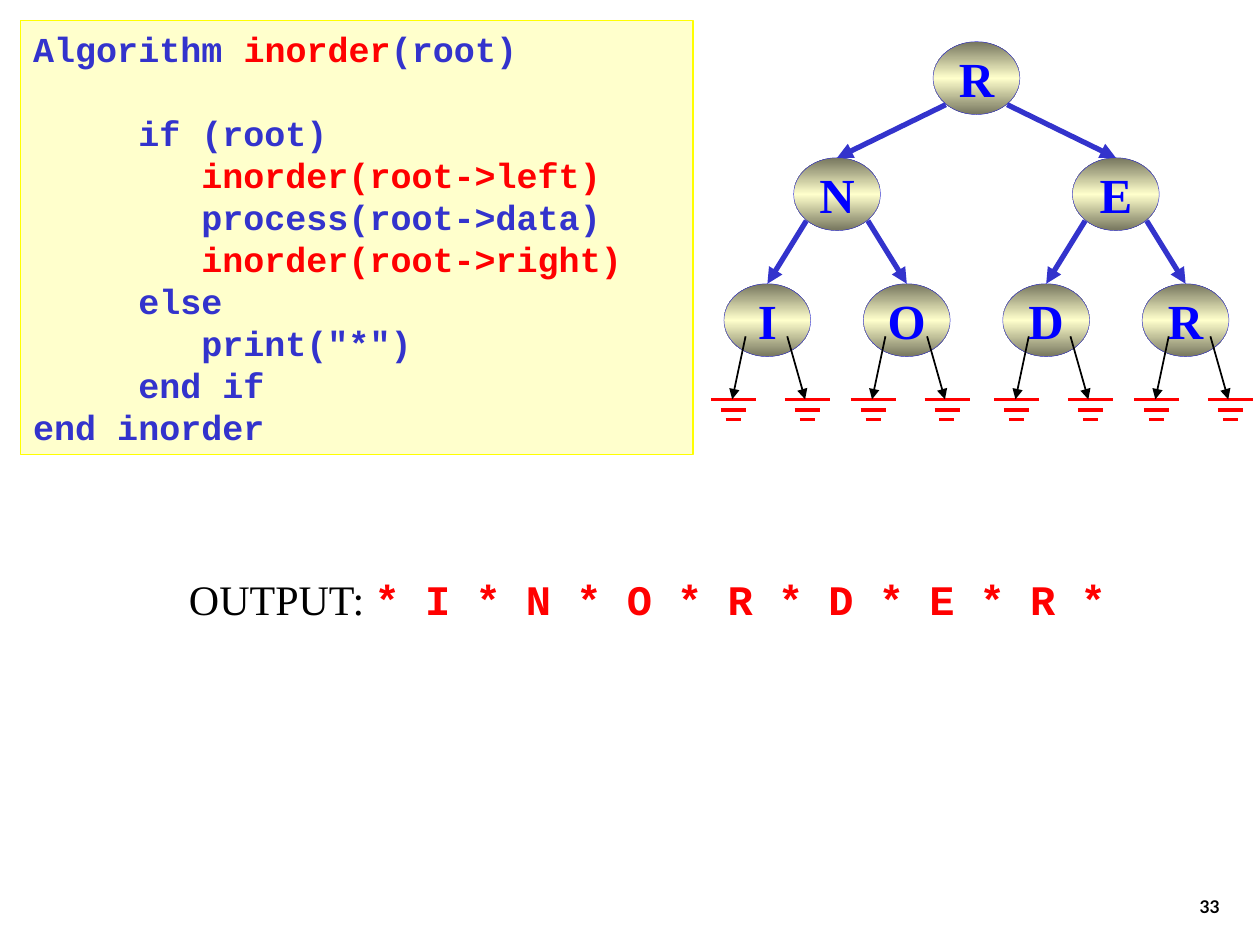
"""Build a slide showing inorder traversal of a binary tree, with its pseudocode and output."""
from copy import deepcopy
from dataclasses import dataclass

from lxml import etree
from pptx import Presentation
from pptx.dml.color import RGBColor
from pptx.enum.shapes import MSO_CONNECTOR, MSO_SHAPE
from pptx.enum.text import MSO_ANCHOR, PP_ALIGN
from pptx.oxml.ns import qn
from pptx.util import Cm, Pt

OVAL, RECTANGLE = MSO_SHAPE.OVAL, MSO_SHAPE.RECTANGLE
STRAIGHT = MSO_CONNECTOR.STRAIGHT
MIDDLE, BOTTOM = MSO_ANCHOR.MIDDLE, MSO_ANCHOR.BOTTOM
LEFT, CENTER, RIGHT = PP_ALIGN.LEFT, PP_ALIGN.CENTER, PP_ALIGN.RIGHT


@dataclass(frozen=True)
class Theme:
    black: str = "000000"
    red: str = "FF0000"
    indigo: str = "3333CC"
    blue: str = "0000FF"
    cream: str = "FFFFCC"
    olive: str = "76765E"
    yellow: str = "FFFF00"
    serif: str = "Times New Roman"
    mono: str = "Courier New"
    sans: str = "Lato"
    node_size: int = 28
    output_size: int = 24
    code_size: int = 20
    number_size: int = 10


theme = Theme()


def write_spans(para, spans, size, align=LEFT):
    para.alignment = align
    for text, font, colour, bold in spans:
        span = para.add_run()
        span.text = text
        span.font.name = font
        span.font.size = Pt(size)
        span.font.bold = bold
        span.font.color.rgb = RGBColor.from_string(colour)


def add_line(x1, y1, x2, y2, colour, width, arrow=False):
    line = page.shapes.add_connector(STRAIGHT, Cm(x1), Cm(y1), Cm(x2), Cm(y2))
    line.line.color.rgb = RGBColor.from_string(colour)
    line.line.width = Pt(width)
    if arrow:
        outline = line.element.xpath(".//a:ln")[0]
        etree.SubElement(outline, qn("a:tailEnd"), type="triangle")
    etree.SubElement(line.element.spPr, qn("a:effectLst"))


deck = Presentation()
deck.slide_width, deck.slide_height = Cm(25.4), Cm(19.05)
page = deck.slides.add_slide(deck.slide_layouts[6])

number_box = page.shapes.add_textbox(Cm(19.56), Cm(17.35), Cm(5.28), Cm(1.27))
number_box.text_frame.word_wrap = True
number_box.text_frame.vertical_anchor = BOTTOM
write_spans(number_box.text_frame.paragraphs[0],
            [("33", theme.sans, theme.black, True)], theme.number_size, RIGHT)

output_box = page.shapes.add_textbox(Cm(3.56), Cm(11.43), Cm(19.53), Cm(1.27))
output_box.text_frame.word_wrap = True
write_spans(output_box.text_frame.paragraphs[0],
            [("OUTPUT: ", theme.serif, theme.black, False),
             ("* I * N * O * R * D * E * R *", theme.mono, theme.red, True)],
            theme.output_size)

node_width, node_height = 1.75, 1.47
first_leaf, leaf_pitch = 15.47, 2.81
level_tops = [0.84, 3.18, 5.72]
levels = ["R", "NE", "IODR"]
centers = [[first_leaf + leaf_pitch * column for column in columns]
           for columns in ([1.5], [0.5, 2.5], range(4))]
gradient = [(0, theme.olive), (0.5, theme.cream), (1, theme.olive)]

for letters, xs, top in zip(levels, centers, level_tops):
    for letter, x in zip(letters, xs):
        node = page.shapes.add_shape(OVAL, Cm(x - node_width / 2), Cm(top),
                                     Cm(node_width), Cm(node_height))
        node.shadow.inherit = False
        node.fill.gradient()
        node.fill.gradient_angle = 90
        stop_list = node.element.xpath(".//a:gsLst")[0]
        stop_list.insert(1, deepcopy(stop_list[0]))
        for stop, (position, colour) in zip(node.fill.gradient_stops, gradient):
            stop.position = position
            stop.color.rgb = RGBColor.from_string(colour)
        node.line.color.rgb = RGBColor.from_string(theme.indigo)
        node.line.width = Pt(0.25)
        node.text_frame.word_wrap = False
        node.text_frame.vertical_anchor = MIDDLE
        write_spans(node.text_frame.paragraphs[0],
                    [(letter, theme.serif, theme.blue, True)], theme.node_size, CENTER)

for level in range(2):
    for index, x in enumerate(centers[level]):
        for side, offset in enumerate((-0.62, 0.62)):
            add_line(x + offset, level_tops[level] + 1.27,
                     centers[level + 1][2 * index + side], level_tops[level + 1],
                     theme.indigo, 3, arrow=True)

ground_top = 8.05
ground_bars = [(0, 0.91, 0), (0.2, 0.71, 0.21), (0.3, 0.6, 0.41)]
for pair_left in (14.33, 17.15, 20.04, 22.86):
    for shift, tail_x, head_x in ((0, 0.7, 0.43), (1.49, 0.05, 0.41)):
        left = pair_left + shift
        for start, end, drop in ground_bars:
            add_line(left + start, ground_top + drop, left + end, ground_top + drop,
                     theme.red, 2)
        add_line(left + tail_x, 6.78, left + head_x, ground_top, theme.black, 1, arrow=True)

code_lines = [
    [("Algorithm ", theme.indigo), ("inorder", theme.red), ("(root)", theme.indigo)],
    [("     if (root)", theme.indigo)],
    [("        inorder(root->left)", theme.red)],
    [("        process(root->data)", theme.indigo)],
    [("        inorder(root->right)", theme.red)],
    [("     else", theme.indigo)],
    [('        print("*")', theme.indigo)],
    [("     end if", theme.indigo)],
    [("end inorder", theme.indigo)],
]
code_box = page.shapes.add_shape(RECTANGLE, Cm(0.42), Cm(0.42), Cm(13.55), Cm(8.74))
code_box.shadow.inherit = False
code_box.fill.solid()
code_box.fill.fore_color.rgb = RGBColor.from_string(theme.cream)
code_box.line.color.rgb = RGBColor.from_string(theme.yellow)
code_box.line.width = Pt(0.75)
code_frame = code_box.text_frame
code_frame.word_wrap = True
code_frame.vertical_anchor = MSO_ANCHOR.TOP
for index, pieces in enumerate(code_lines):
    para = code_frame.paragraphs[0] if index == 0 else code_frame.add_paragraph()
    write_spans(para, [(text, theme.mono, colour, True) for text, colour in pieces],
                theme.code_size)
code_frame.paragraphs[1].space_before = Pt(24)

deck.save("out.pptx")
